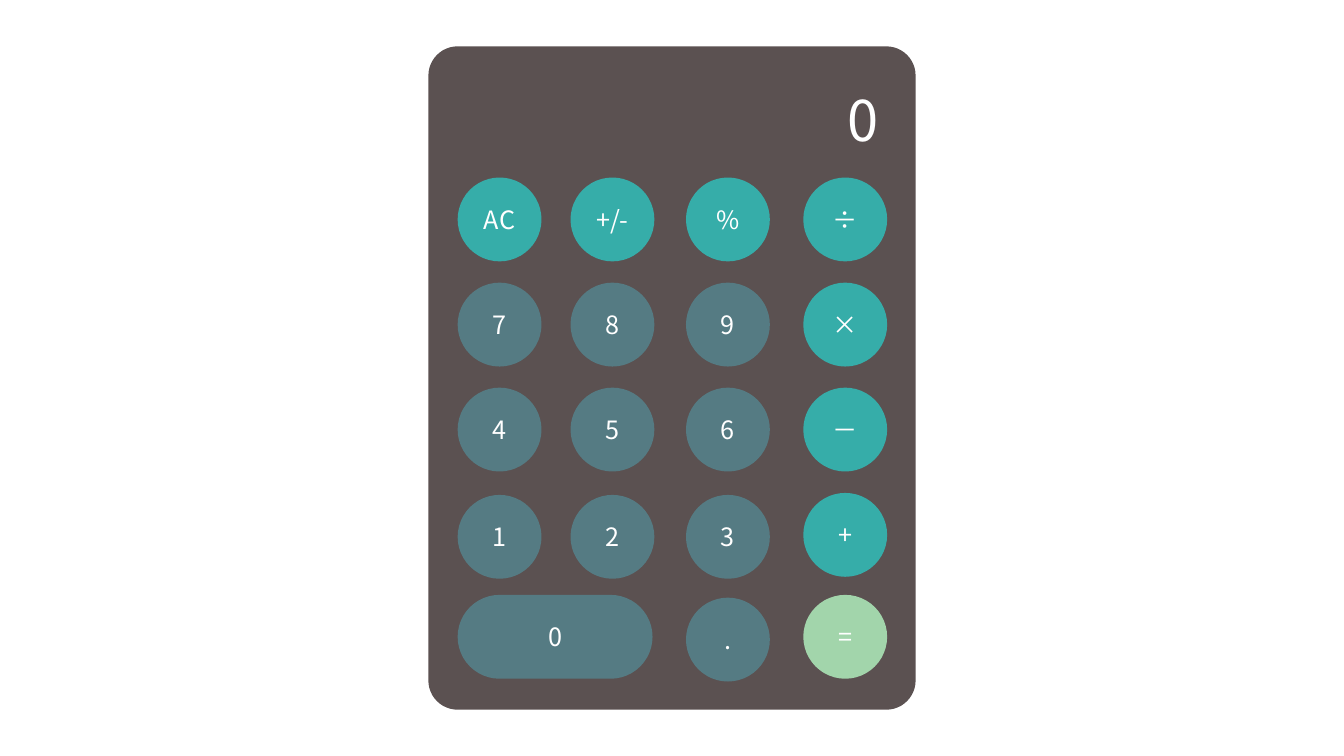
from pptx import Presentation
from pptx.dml.color import RGBColor
from pptx.enum.shapes import MSO_SHAPE as Shape
from pptx.enum.text import MSO_ANCHOR as Anchor, PP_ALIGN as Align
from pptx.oxml.ns import qn
from pptx.util import Pt

FONT = "Noto Sans CJK KR"
INK = {"case": "5B5151", "func": "36ADA9", "digit": "557B83",
       "equal": "A2D5AB", "text": "FFFFFF"}

KEY = 59.9  # key diameter
COLS = [20.9, 101.5, 184, 267.8]
# Top of each key row: left keys, operator key
ROWS = [(93.7, 93.7), (168.8, 168.8), (243.8, 243.8), (320.4, 319), (391.8, 391.8)]
DROP = 2  # the point key sits slightly lower
KEYS = [
    ["AC", "+/-", "%", "÷"],
    ["7", "8", "9", "×"],
    ["4", "5", "6", "－"],
    ["1", "2", "3", "+"],
    ["0", None, ".", "="],
]


def write(frame, text, size, align):
    para = frame.paragraphs[0]
    para.alignment = align
    run = para.add_run()
    run.text = text
    run.font.size = Pt(size)
    run.font.name = FONT
    run.font.color.rgb = RGBColor.from_string(INK["text"])
    # Symbols such as ÷ and － use the East Asian font slot
    asian = run.font._element.makeelement(qn("a:ea"), {"typeface": FONT})
    run.font._element.append(asian)


def block(slide, kind, box, ink):
    shape = slide.shapes.add_shape(kind, *map(Pt, box))
    shape.shadow.inherit = False
    shape.fill.solid()
    shape.fill.fore_color.rgb = RGBColor.from_string(INK[ink])
    shape.line.fill.background()
    return shape


def key(slide, text, x, y, ink, wide=KEY):
    kind = Shape.OVAL if wide == KEY else Shape.ROUNDED_RECTANGLE
    shape = block(slide, kind, (x, y, wide, KEY), ink)
    if wide != KEY:
        shape.adjustments[0] = 0.5
    frame = shape.text_frame
    frame.margin_left = frame.margin_right = 0
    frame.vertical_anchor = Anchor.MIDDLE
    write(frame, text, 18, Align.CENTER)


def keypad(slide, left, top):
    for row, texts in enumerate(KEYS):
        for col, text in enumerate(texts):
            if text is None:
                continue
            last = col == len(COLS) - 1
            y = top + ROWS[row][last] + (DROP if text == "." else 0)
            ink = "equal" if text == "=" else "func" if last or row == 0 else "digit"
            wide = 139.2 if text == "0" else KEY
            key(slide, text, left + COLS[col], y, ink, wide)


def readout(slide, x, y, wide, high):
    box = slide.shapes.add_textbox(Pt(x), Pt(y), Pt(wide), Pt(high))
    box.text_frame.word_wrap = True
    write(box.text_frame, "0", 40, Align.RIGHT)


def calc(slide, x, y, wide, high):
    # Case
    case = block(slide, Shape.ROUNDED_RECTANGLE, (x, y, wide, high), "case")
    case.adjustments[0] = 0.06
    # Keys
    keypad(slide, x, y)
    # Display
    readout(slide, x + COLS[0], y + 24.5, 307.4, 55.7)


def main():
    deck = Presentation()
    deck.slide_width, deck.slide_height = Pt(960), Pt(540)
    slide = deck.slides.add_slide(deck.slide_layouts[6])
    calc(slide, 306, 33.1, 348, 473.8)
    deck.save("out.pptx")


if __name__ == "__main__":
    main()
